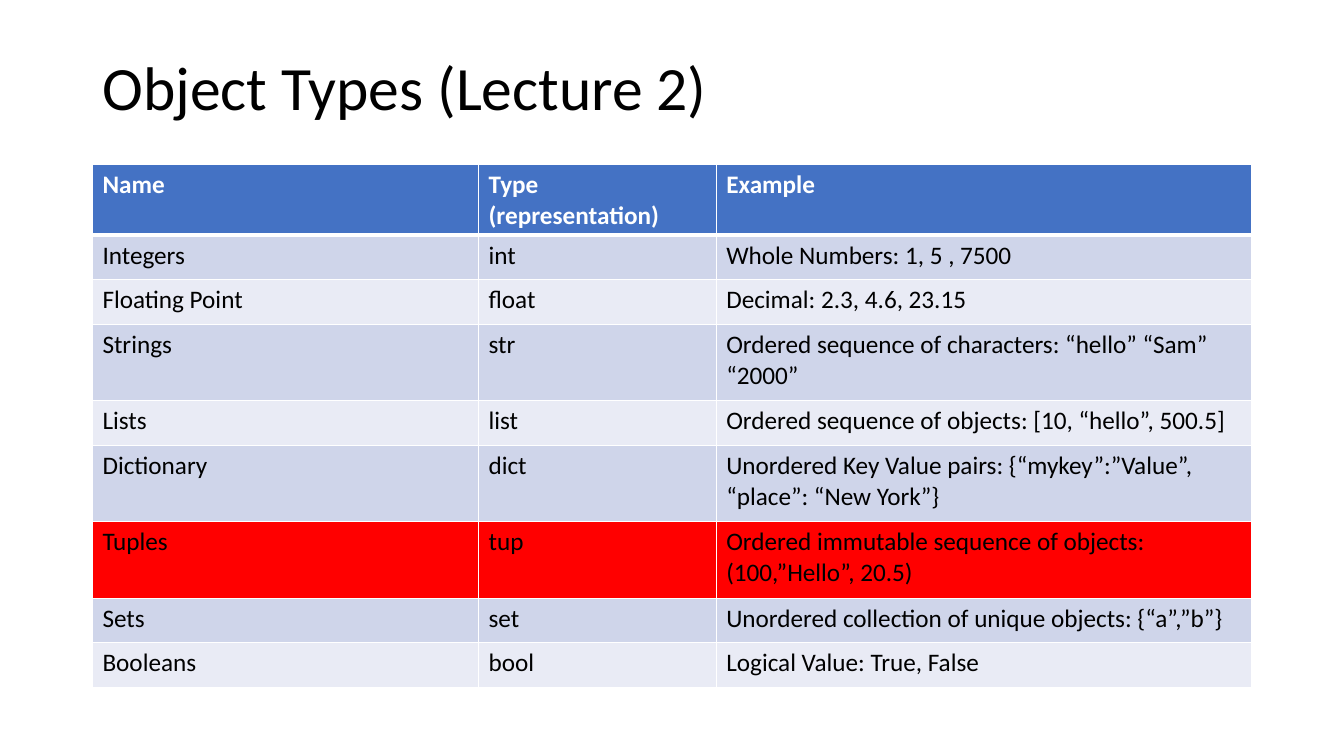
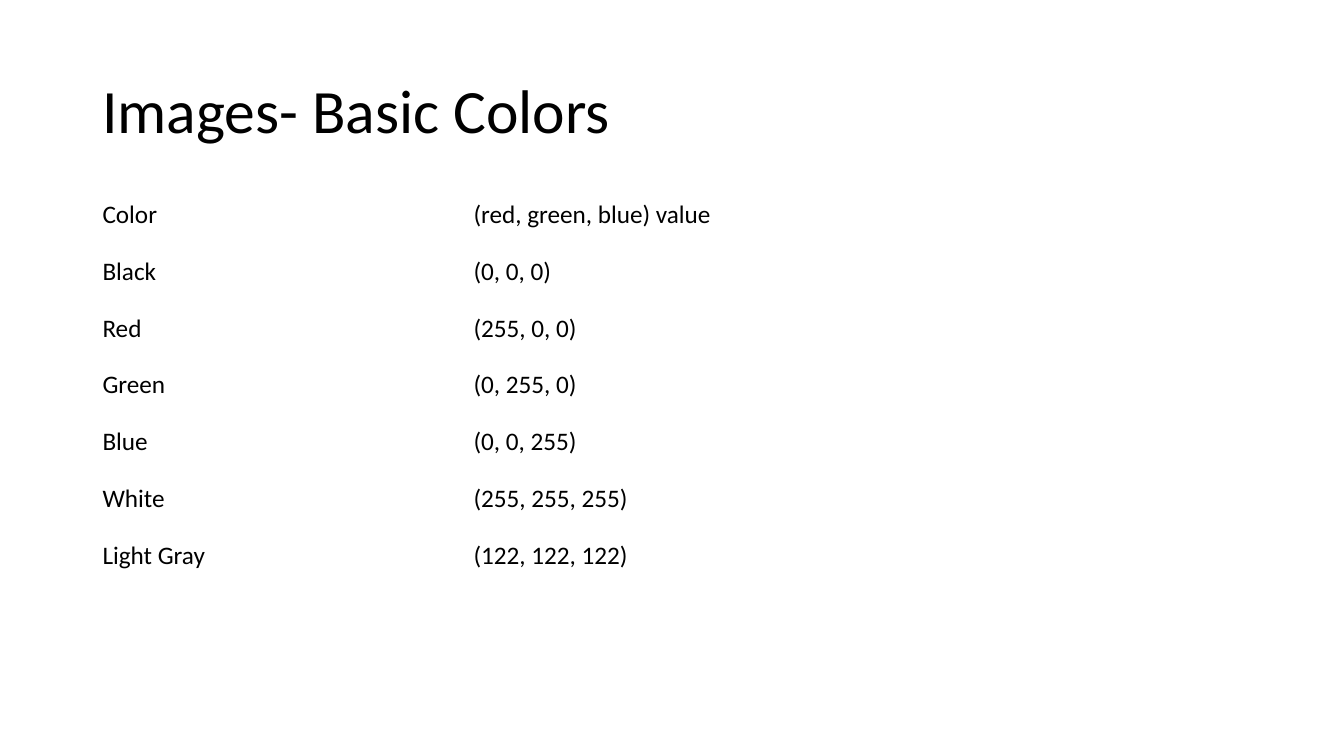
import pptx
import pptx.util
import pptx.dml.color
import pptx.enum.text
import pptx.oxml
import pptx.oxml.ns

Cm = pptx.util.Cm
Pt = pptx.util.Pt
ANCHOR = pptx.enum.text.MSO_ANCHOR

HUES = {
    "black": "000000",
    "white": "FFFFFF",
    "blue": "4472C4",
    "dark": "CFD5EA",
    "pale": "E9EBF5",
    "red": "FF0000",
}
FONT = "Calibri"
LEFT, WIDTH, TOP = 2.33, 29.21, 1.01
LOW, TALL = 1.12, 1.93
MARKED = "Tuples"

TYPES = [
    ("Name", "Type (representation)", "Example"),
    ("Integers", "int", "Whole Numbers: 1, 5 , 7500"),
    ("Floating Point", "float", "Decimal: 2.3, 4.6, 23.15"),
    ("Strings", "str", "Ordered sequence of characters: “hello” “Sam” “2000”"),
    ("Lists", "list", "Ordered sequence of objects: [10, “hello”, 500.5]"),
    ("Dictionary", "dict", "Unordered Key Value pairs: {“mykey”:”Value”, “place”: “New York”}"),
    ("Tuples", "tup", "Ordered immutable sequence of objects: (100,”Hello”, 20.5)"),
    ("Sets", "set", "Unordered collection of unique objects: {“a”,”b”}"),
    ("Booleans", "bool", "Logical Value: True, False"),
]

COLORS = [
    ("Color", "(red, green, blue) value"),
    ("Black", "(0, 0, 0)"),
    ("Red", "(255, 0, 0)"),
    ("Green", "(0, 255, 0)"),
    ("Blue", "(0, 0, 255)"),
    ("White", "(255, 255, 255)"),
    ("Light Gray", "(122, 122, 122)"),
]


def type_look(row, name):
    if row == 0:
        return "blue", "white", True
    fill = "red" if name == MARKED else ("pale", "dark")[row % 2]
    return fill, "black", False


def color_look(row, name):
    return None, "black", False


SLIDES = [
    {
        "title": "Object Types (Lecture 2)",
        "high": 2.54,
        "top": 4.14,
        "cols": [9.73, 5.99, 13.49],
        "rows": [1.79, LOW, LOW, TALL, LOW, TALL, TALL, LOW, LOW],
        "cells": TYPES,
        "look": type_look,
        "anchor": ANCHOR.TOP,
    },
    {
        "title": "Images- Basic Colors",
        "high": 3.68,
        "top": 4.7,
        "cols": [9.35, 19.86],
        "rows": [1.43] * len(COLORS),
        "cells": COLORS,
        "look": color_look,
        "anchor": ANCHOR.MIDDLE,
    },
]


def tint(hue):
    return pptx.dml.color.RGBColor.from_string(HUES[hue])


def style(part, size, hue, bold=False):
    for key, value in {"name": FONT, "size": Pt(size), "bold": bold}.items():
        setattr(part.font, key, value)
    part.font.color.rgb = tint(hue)


def add_title(slide, text, high):
    box = slide.shapes.add_textbox(Cm(LEFT), Cm(TOP), Cm(WIDTH), Cm(high))
    frame = box.text_frame
    for key, value in {"word_wrap": True, "vertical_anchor": ANCHOR.MIDDLE}.items():
        setattr(frame, key, value)
    line = frame.paragraphs[0]
    line.text = text
    line.line_spacing = 0.9
    style(line, 44, "black")


def add_edges(cell, head, first):
    props = cell._tc.get_or_add_tcPr()
    wide = {"L": 1, "R": 1, "T": 3 if first else 1, "B": 3 if head else 1}
    for spot, (side, size) in enumerate(wide.items()):
        edge = pptx.oxml.parse_xml(
            f'<a:ln{side} {pptx.oxml.ns.nsdecls("a")} w="{Pt(size)}">'
            f'<a:solidFill><a:srgbClr val="{HUES["white"]}"/></a:solidFill>'
            f'</a:ln{side}>'
        )
        props.insert(spot, edge)


def add_grid(slide, plan):
    cells = plan["cells"]
    table = slide.shapes.add_table(
        len(cells), len(plan["cols"]), Cm(LEFT), Cm(plan["top"]),
        Cm(WIDTH), Cm(sum(plan["rows"])),
    ).table
    for flag in ("first_row", "horz_banding"):
        setattr(table, flag, False)
    for col, wide in zip(table.columns, plan["cols"]):
        col.width = Cm(wide)
    for row, high in zip(table.rows, plan["rows"]):
        row.height = Cm(high)
    for r, words in enumerate(cells):
        fill, hue, bold = plan["look"](r, words[0])
        for c, text in enumerate(words):
            cell = table.cell(r, c)
            cell.text = text
            cell.vertical_anchor = plan["anchor"]
            style(cell.text_frame.paragraphs[0], 18, hue, bold)
            if fill:
                cell.fill.solid()
                cell.fill.fore_color.rgb = tint(fill)
                add_edges(cell, r == 0, r == 1)
            else:
                cell.fill.background()


def main():
    deck = pptx.Presentation()
    for key, value in {"slide_width": 33.87, "slide_height": 19.05}.items():
        setattr(deck, key, Cm(value))
    for plan in SLIDES:
        slide = deck.slides.add_slide(deck.slide_layouts[6])
        add_title(slide, plan["title"], plan["high"])
        add_grid(slide, plan)
    deck.save("out.pptx")


if __name__ == "__main__":
    main()
